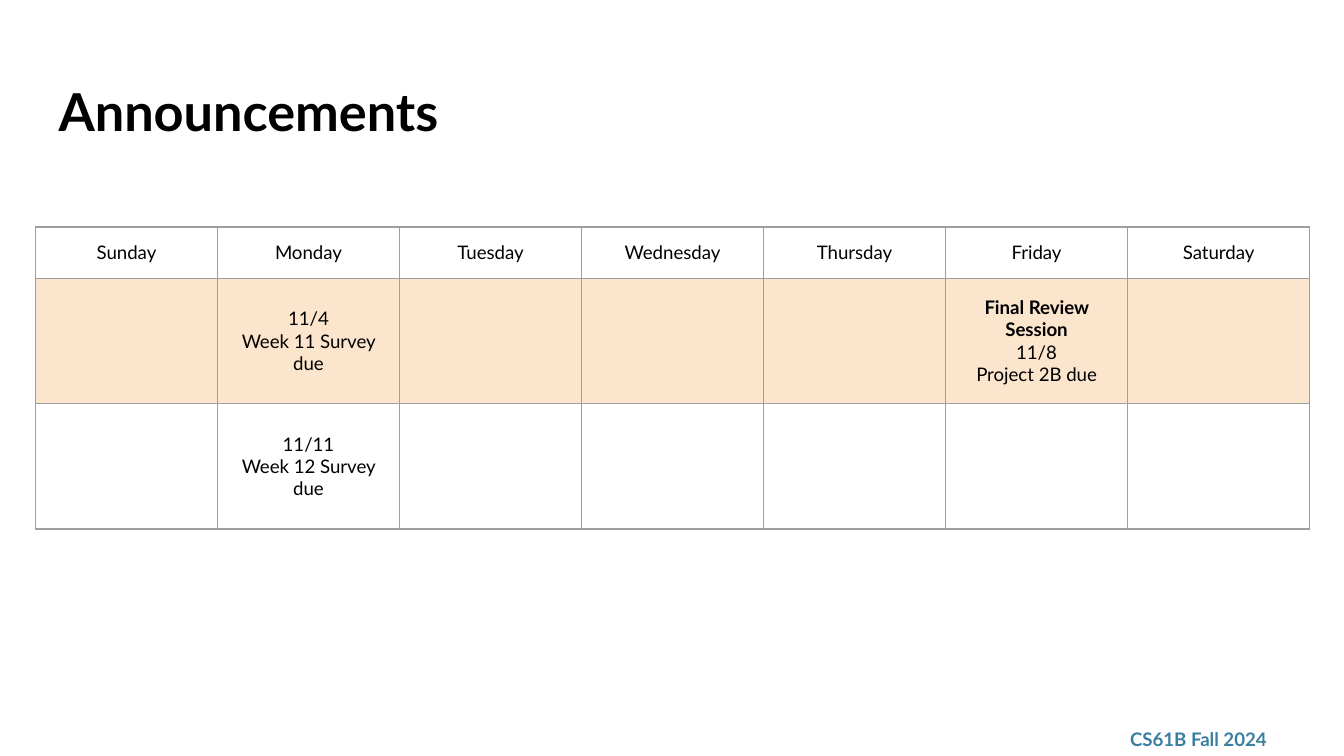
from dataclasses import dataclass

from lxml import etree
from pptx import Presentation
from pptx.dml.color import RGBColor
from pptx.enum.text import MSO_ANCHOR, PP_ALIGN
from pptx.oxml.ns import qn
from pptx.util import Cm, Pt

CENTER = PP_ALIGN.CENTER
TOP = MSO_ANCHOR.TOP
MIDDLE = MSO_ANCHOR.MIDDLE
BLANK_LAYOUT = 6


@dataclass(frozen=True)
class Theme:
    font: str = "Lato"
    ink: str = "000000"
    accent: str = "3B7EA1"
    highlight: str = "FCE5CD"
    grid: str = "9E9E9E"
    title_size: int = 28
    body_size: int = 10
    grid_width: float = 0.75


THEME = Theme()

DAYS = ["Sunday", "Monday", "Tuesday", "Wednesday", "Thursday", "Friday", "Saturday"]
CURRENT_WEEK = 1
EVENTS = {
    (1, "Monday"): "11/4\nWeek 11 Survey due",
    (1, "Friday"): "Final Review Session\n11/8\nProject 2B due",
    (2, "Monday"): "11/11\nWeek 12 Survey due",
}
BOLD_LINES = {"Final Review Session"}
DAY_WIDTH = Cm(3.44)
ROW_HEIGHTS = [Cm(0.97), Cm(2.37), Cm(2.37)]


def style_font(font, size, color, bold=False):
    font.name = THEME.font
    font.size = Pt(size)
    font.bold = bold
    font.color.rgb = RGBColor.from_string(color)


def add_label(slide, text, left, top, width, height, size, color, anchor):
    label = slide.shapes.add_textbox(left, top, width, height)
    frame = label.text_frame
    frame.word_wrap = True
    frame.vertical_anchor = anchor
    frame.margin_left = frame.margin_right = Cm(0.25)
    frame.margin_top = frame.margin_bottom = Cm(0.25)
    frame.text = text
    style_font(frame.paragraphs[0].runs[0].font, size, color, bold=True)


def add_borders(cell):
    properties = cell._tc.get_or_add_tcPr()
    for side in ("a:lnL", "a:lnR", "a:lnT", "a:lnB"):
        border = etree.SubElement(properties, qn(side), w=str(Pt(THEME.grid_width)))
        fill = etree.SubElement(border, qn("a:solidFill"))
        etree.SubElement(fill, qn("a:srgbClr"), val=THEME.grid)


def fill_cell(cell, text, highlighted):
    add_borders(cell)
    if highlighted:
        cell.fill.solid()
        cell.fill.fore_color.rgb = RGBColor.from_string(THEME.highlight)
    else:
        cell.fill.background()
    cell.vertical_anchor = MIDDLE
    cell.margin_left = cell.margin_right = Cm(0.13)
    cell.margin_top = cell.margin_bottom = Cm(0.13)
    cell.text_frame.text = text
    for paragraph in cell.text_frame.paragraphs:
        paragraph.alignment = CENTER
        for run in paragraph.runs:
            style_font(run.font, THEME.body_size, THEME.ink, run.text in BOLD_LINES)


def add_calendar(slide, left, top):
    calendar = slide.shapes.add_table(
        len(ROW_HEIGHTS), len(DAYS), left, top,
        DAY_WIDTH * len(DAYS), sum(ROW_HEIGHTS),
    ).table
    calendar.first_row = False
    calendar.horz_banding = False
    for column in calendar.columns:
        column.width = DAY_WIDTH
    for week, height in enumerate(ROW_HEIGHTS):
        calendar.rows[week].height = height
        for index, day in enumerate(DAYS):
            text = day if week == 0 else EVENTS.get((week, day), "")
            fill_cell(calendar.cell(week, index), text, week == CURRENT_WEEK)


def main():
    deck = Presentation()
    deck.slide_width = Cm(25.4)
    deck.slide_height = Cm(14.29)
    slide = deck.slides.add_slide(deck.slide_layouts[BLANK_LAYOUT])
    add_label(slide, "CS61B Fall 2024", Cm(21.11), Cm(13.64), Cm(3.43), Cm(0.66),
              THEME.body_size, THEME.accent, MIDDLE)
    add_label(slide, "Announcements", Cm(0.86), Cm(1.24), Cm(23.67), Cm(1.6),
              THEME.title_size, THEME.ink, TOP)
    add_calendar(slide, Cm(0.67), Cm(4.29))
    deck.save("out.pptx")


if __name__ == "__main__":
    main()
